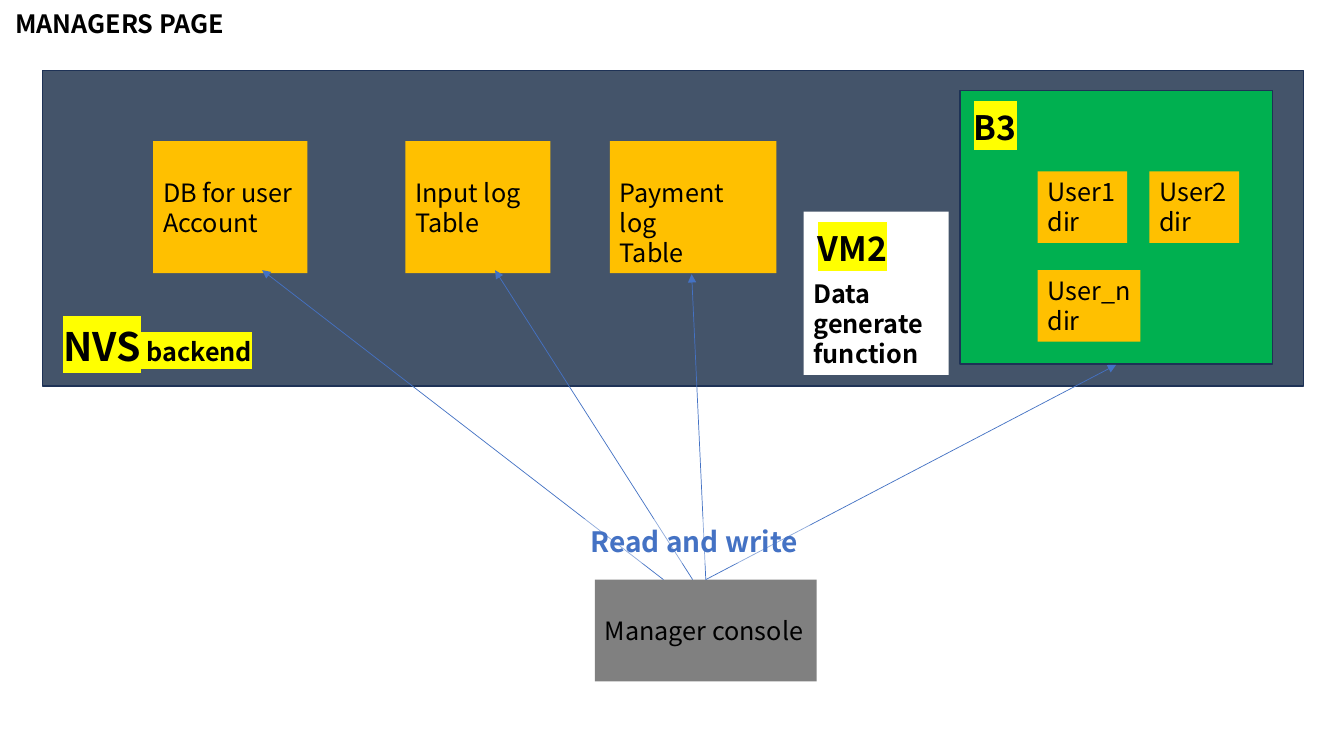
from lxml import etree
from pptx import Presentation
from pptx.dml.color import RGBColor
from pptx.enum.shapes import MSO_CONNECTOR, MSO_SHAPE
from pptx.enum.text import MSO_ANCHOR, MSO_AUTO_SIZE, PP_ALIGN
from pptx.oxml.ns import qn
from pptx.util import Inches, Pt

RECTANGLE = MSO_SHAPE.RECTANGLE
STRAIGHT = MSO_CONNECTOR.STRAIGHT
TOP = MSO_ANCHOR.TOP
NO_FIT = MSO_AUTO_SIZE.NONE
LEFT = PP_ALIGN.LEFT

FONT = "Noto Sans CJK JP"
TITLE_ONLY = 5
LINE_HEIGHT = 0.305
COLORS = {
    "backend": "44546A",
    "outline": "1E3256",
    "storage": "00B050",
    "data": "FFC000",
    "white": "FFFFFF",
    "console": "808080",
    "accent": "4472C4",
    "text": "000000",
    "marker": "FFFF00",
}


def rgb(name):
    return RGBColor.from_string(COLORS[name])


def add_span(para, text, size, bold, color, marked):
    span = para.add_run()
    span.text = text
    span.font.size = Pt(size)
    span.font.bold = bold
    span.font.color.rgb = rgb(color)
    if marked:
        properties = span.font._element
        highlight = etree.SubElement(properties, qn("a:highlight"))
        etree.SubElement(highlight, qn("a:srgbClr"), val=COLORS["marker"])
    span.font.name = FONT


def write(shape, lines, bold=False, color="text", marked=False, skipped=0, right=0):
    frame = shape.text_frame
    frame.word_wrap = True
    frame.auto_size = NO_FIT
    frame.vertical_anchor = TOP
    frame.margin_left = Inches(0.1)
    frame.margin_right = Inches(right)
    frame.margin_top = Inches(0.05 + skipped * LINE_HEIGHT)
    frame.margin_bottom = 0
    for index, spans in enumerate(lines):
        para = frame.add_paragraph() if index else frame.paragraphs[0]
        para.alignment = LEFT
        for text, size in spans:
            add_span(para, text, size, bold, color, marked)


def add_box(page, place, fill, outlined=False):
    box = page.shapes.add_shape(RECTANGLE, *map(Inches, place))
    box.shadow.inherit = False
    box.fill.solid()
    box.fill.fore_color.rgb = rgb(fill)
    if outlined:
        box.line.color.rgb = rgb("outline")
        box.line.width = Pt(1)
    else:
        box.line.fill.background()
    return box


def add_data_box(page, place, lines, skipped=0, right=0):
    box = add_box(page, place, "data")
    write(box, [[(line, 18)] for line in lines], skipped=skipped, right=right)


def add_label(page, place, spans):
    label = page.shapes.add_textbox(*map(Inches, place))
    write(label, [spans], bold=True, marked=True)


def add_arrow(page, start, end):
    arrow = page.shapes.add_connector(STRAIGHT, *map(Inches, start + end))
    arrow.line.color.rgb = rgb("accent")
    arrow.line.width = Pt(0.5)
    etree.SubElement(arrow.line._get_or_add_ln(), qn("a:tailEnd"), type="triangle")
    etree.SubElement(arrow._element.spPr, qn("a:effectLst"))


def add_title(page):
    title = page.shapes.title
    title.left, title.top = Inches(0.05), Inches(0.03)
    title.width, title.height = Inches(2.46), Inches(0.4)
    write(title, [[("MANAGERS PAGE", 18)]], bold=True)


def add_backend(page):
    add_box(page, (0.42, 0.7, 12.51, 3.13), "backend", outlined=True)
    for left, width, lines, right in (
        (1.52, 1.53, ("DB for user", "Account"), 0),
        (4.02, 1.44, ("Input log", "Table"), 0),
        (6.05, 1.65, ("Payment log", "Table"), 0.35),
    ):
        add_data_box(page, (left, 1.4, width, 1.31), lines, skipped=1, right=right)
    add_label(page, (0.53, 3.15, 2.21, 0.57), [("NVS", 28), (" backend", 18)])


def add_storage(page):
    add_box(page, (9.52, 0.9, 3.1, 2.71), "storage", outlined=True)
    for left, top, width, user in (
        (10.29, 1.7, 0.89, "User1"),
        (11.4, 1.7, 0.89, "User2"),
        (10.29, 2.68, 1.02, "User_n"),
    ):
        add_data_box(page, (left, top, width, 0.71), (user, "dir"))
    add_label(page, (9.56, 1.01, 0.62, 0.5), [("B3", 24)])


def add_generator(page):
    box = add_box(page, (7.97, 2.1, 1.44, 1.62), "white")
    lines = [[("Data generate", 18)], [("function", 18)]]
    write(box, lines, bold=True, skipped=2, right=0.1)
    add_label(page, (8.01, 2.21, 0.85, 0.5), [("VM2", 24)])


def add_console(page):
    console = add_box(page, (5.9, 5.75, 2.2, 1.01), "console")
    write(console, [[("Manager console", 18)]], skipped=1)
    for start, end in (
        (6.58, (2.6, 2.68)),
        (6.87, (4.91, 2.68)),
        (7, (6.86, 2.72)),
        (7, (11.07, 3.62)),
    ):
        add_arrow(page, (start, 5.75), end)
    caption = add_box(page, (5.76, 5.15, 2.27, 0.44), "white")
    tint = caption._element.spPr.find(qn("a:solidFill"))[0]
    etree.SubElement(tint, qn("a:alpha"), val="40000")
    write(caption, [[("Read and write", 20)]], bold=True, color="accent")


def main():
    deck = Presentation()
    deck.slide_width, deck.slide_height = Inches(13.33), Inches(7.5)
    page = deck.slides.add_slide(deck.slide_layouts[TITLE_ONLY])
    add_title(page)
    add_backend(page)
    add_storage(page)
    add_generator(page)
    add_console(page)
    deck.save("out.pptx")


if __name__ == "__main__":
    main()
